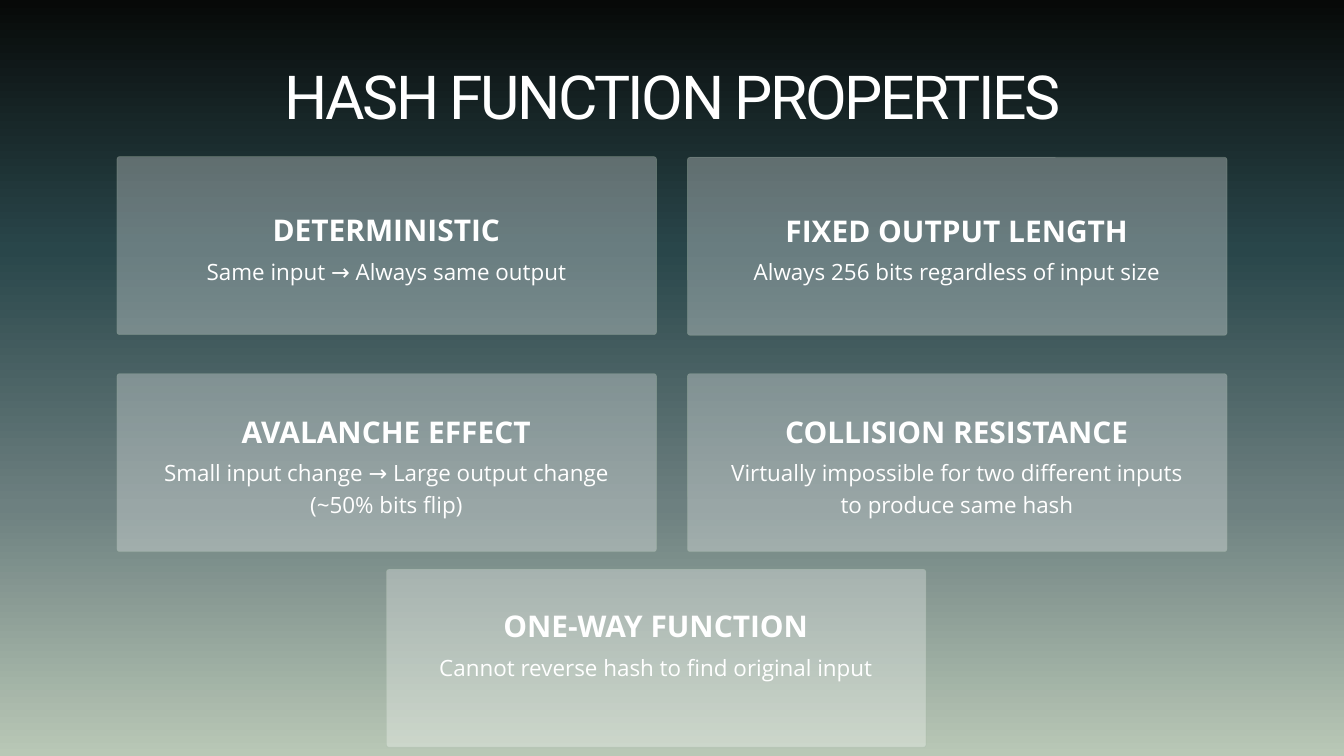
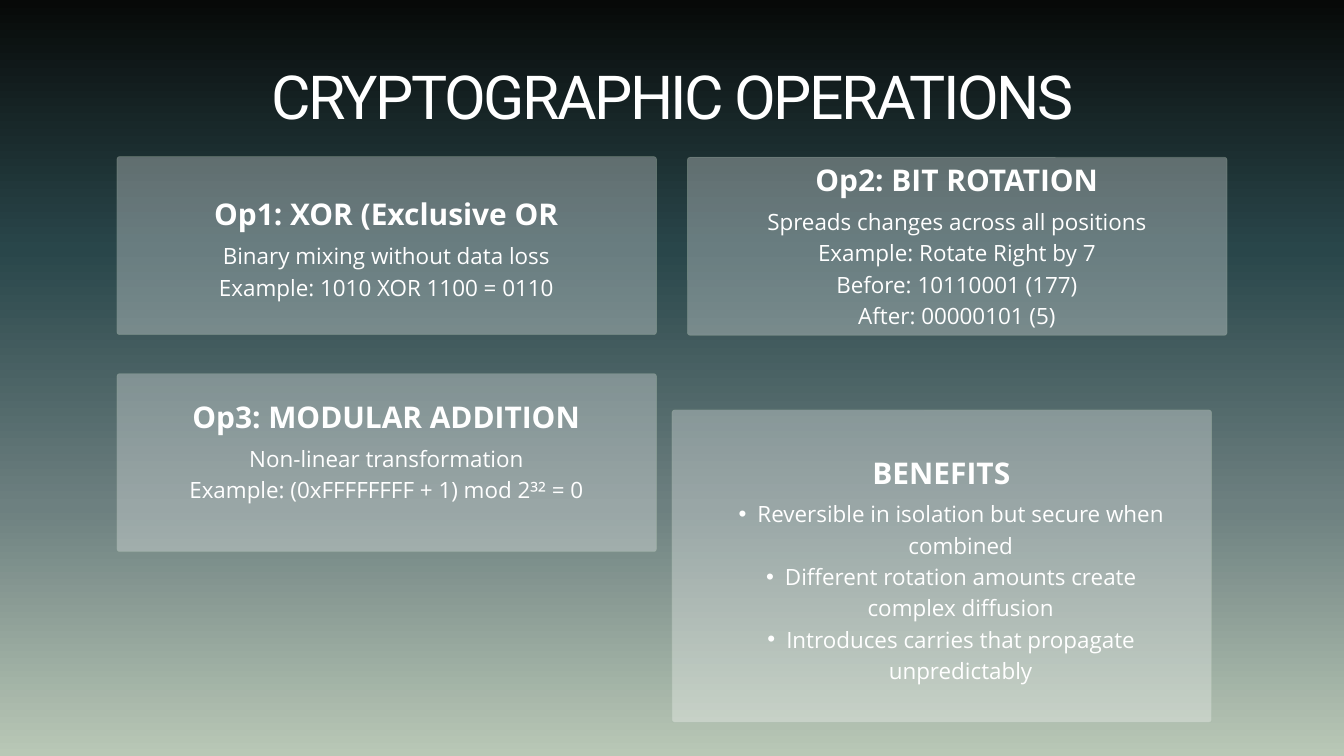
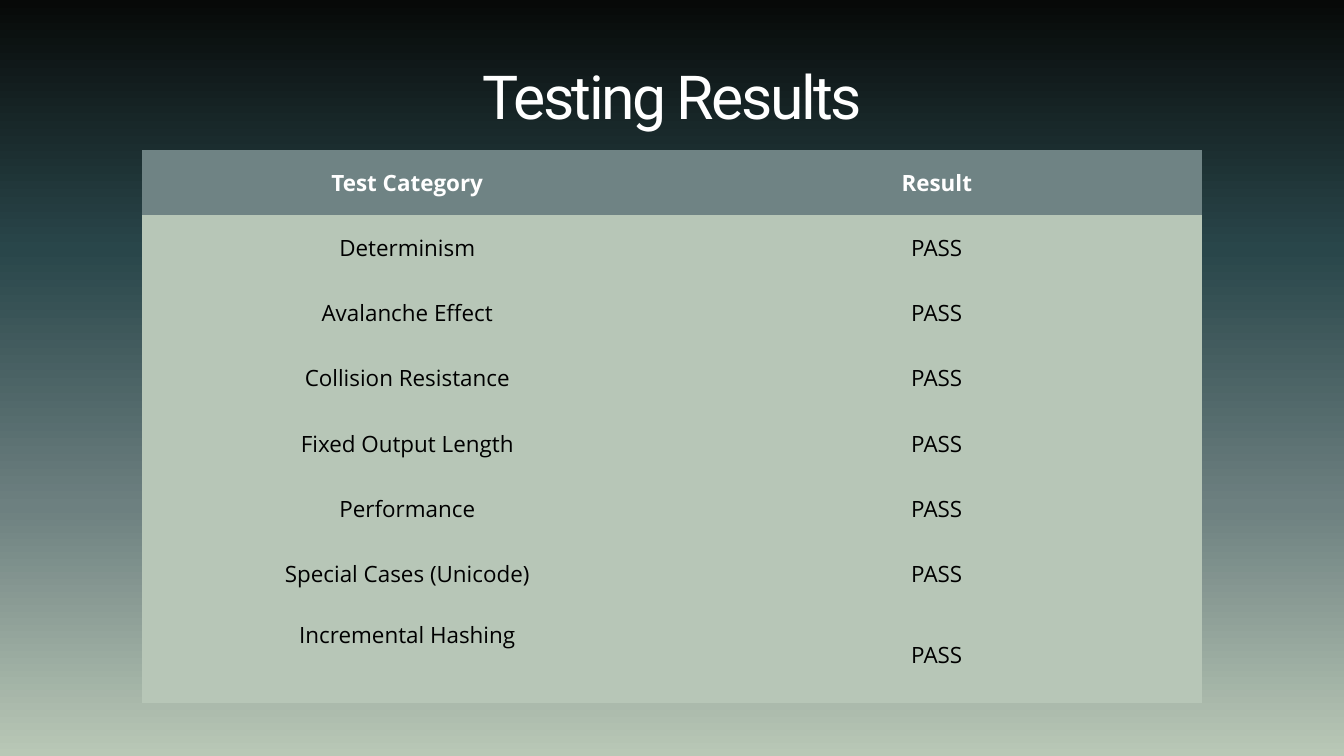
"""Builds three slides on hash functions: traits, operations and test results."""
import lxml.etree
import pptx
import pptx.dml.color
import pptx.enum.shapes
import pptx.enum.text
import pptx.oxml.ns
import pptx.util

RGB = pptx.dml.color.RGBColor
WHITE = RGB(0xFF, 0xFF, 0xFF)
BLACK = RGB(0x00, 0x00, 0x00)
EDGE = RGB(0x9E, 0xB4, 0x9F)
HEAD = RGB(0x6F, 0x83, 0x84)
ROW = RGB(0xB7, 0xC6, 0xB7)
STOPS = [
    (0, RGB(0x07, 0x09, 0x08)),
    (33, RGB(0x29, 0x46, 0x4A)),
    (67, RGB(0x6D, 0x80, 0x80)),
    (100, RGB(0xB9, 0xC8, 0xB6)),
]
PLAIN = "{2D5ABB26-0587-4C30-8999-92F81FD0307C}"
LEFT, RIGHT, CARD = 174, 1023, 265
qn = pptx.oxml.ns.qn


def px(size):
    return pptx.util.Emu(size * 9144)


def add(node, tag, **attrs):
    return lxml.etree.SubElement(node, qn(tag), **attrs)


class Deck:
    def __init__(self):
        self.show = pptx.Presentation()
        self.show.slide_width, self.show.slide_height = px(2000), px(1125)

    def start(self, title):
        self.slide = self.show.slides.add_slide(self.show.slide_layouts[6])
        fill = self.slide.background.fill
        fill.gradient()
        fill.gradient_angle = 270
        stops = self.slide.element.find(".//" + qn("a:gsLst"))
        stops.clear()
        for place, color in STOPS:
            stop = add(stops, "a:gs", pos=str(place * 1000))
            add(stop, "a:srgbClr", val=str(color))
        frame = self.text(LEFT, 88, 1653, 217, [title], 65, 78, font="Roboto")
        frame.paragraphs[0].runs[0].font._element.set("spc", "-270")

    def style(self, frame, size, pitch, color=WHITE, bold=False, font="Open Sans"):
        for para in frame.paragraphs:
            para.alignment = pptx.enum.text.PP_ALIGN.CENTER
            para.line_spacing = pptx.util.Pt(pitch)
            for run in para.runs:
                run.font.name = font
                run.font.size = pptx.util.Pt(size)
                run.font.bold = bold
                run.font.color.rgb = color

    def text(self, x, y, wide, high, lines, size, pitch, **look):
        frame = self.slide.shapes.add_textbox(px(x), px(y), px(wide), px(high)).text_frame
        frame.word_wrap = True
        frame.margin_left = frame.margin_right = 0
        frame.margin_top = frame.margin_bottom = 0
        frame.text = "\n".join(lines)
        self.style(frame, size, pitch, **look)
        return frame

    def panel(self, x, y, high):
        kind = pptx.enum.shapes.MSO_SHAPE.ROUNDED_RECTANGLE
        shape = self.slide.shapes.add_shape(kind, px(x), px(y), px(803), px(high))
        shape.adjustments[0] = 4 / high
        shape.shadow.inherit = False
        shape.fill.solid()
        shape.fill.fore_color.rgb = WHITE
        shape.line.color.rgb = EDGE
        shape.line.width = pptx.util.Pt(0.75)
        for color in shape._element.spPr.iter(qn("a:srgbClr")):
            add(color, "a:alpha", val="30000")

    def card(self, x, y, drop, head, lines, rows, high=CARD, dots=False):
        self.panel(x, y, high)
        self.text(x + 53, y + drop, 696, 59, [head], 32, 44.8, bold=True)
        frame = self.text(x + 53, y + drop + 71, 696, rows * 46 - 2, lines, 24, 33.6)
        if dots:
            self.dots(frame)

    def dots(self, frame):
        for para in frame.paragraphs:
            props = para._p.get_or_add_pPr()
            props.set("marL", str(px(57)))
            props.set("indent", str(px(-28)))
            add(props, "a:buFont", typeface="Arial")
            add(props, "a:buChar", char="•")

    def table(self, x, y, wide, highs, rows):
        shape = self.slide.shapes.add_table(
            len(rows), len(rows[0]), px(x), px(y), px(wide), px(sum(highs)))
        grid = shape.table
        grid.horz_banding = False
        grid._tbl.find(".//" + qn("a:tableStyleId")).text = PLAIN
        for i, (high, row) in enumerate(zip(highs, rows)):
            grid.rows[i].height = px(high)
            for j, word in enumerate(row):
                self.cell(grid.cell(i, j), word, i == 0)
        return grid

    def cell(self, cell, word, top):
        cell.margin_left = cell.margin_right = px(19)
        cell.margin_top = cell.margin_bottom = px(19)
        cell.vertical_anchor = pptx.enum.text.MSO_ANCHOR.MIDDLE
        cell.fill.solid()
        cell.fill.fore_color.rgb = HEAD if top else ROW
        cell.text_frame.text = word
        self.style(cell.text_frame, 24, 33.6, WHITE if top else BLACK, top)


def main():
    deck = Deck()

    deck.start("HASH FUNCTION PROPERTIES")
    deck.card(LEFT, 233, 73, "DETERMINISTIC", ["Same input → Always same output"], 1)
    deck.card(RIGHT, 234, 73, "FIXED OUTPUT LENGTH",
              ["Always 256 bits regardless of input size"], 1)
    deck.card(LEFT, 556, 50, "AVALANCHE EFFECT",
              ["Small input change → Large output change (~50% bits flip)"], 2)
    deck.card(RIGHT, 556, 50, "COLLISION RESISTANCE",
              ["Virtually impossible for two different inputs to produce same hash"], 2)
    deck.card(575, 847, 49, "ONE-WAY FUNCTION",
              ["Cannot reverse hash to find original input"], 2)

    deck.start("CRYPTOGRAPHIC OPERATIONS")
    deck.card(LEFT, 233, 50, "Op1: XOR (Exclusive OR",
              ["Binary mixing without data loss", "Example: 1010 XOR 1100 = 0110"], 2)
    deck.card(RIGHT, 234, -2, "Op2: BIT ROTATION",
              ["Spreads changes across all positions", "Example: Rotate Right by 7",
               "Before: 10110001 (177)", "After: 00000101 (5)"], 5)
    deck.card(LEFT, 556, 28, "Op3: MODULAR ADDITION",
              ["Non-linear transformation", "Example: (0xFFFFFFFF + 1) mod 2³² = 0"], 3)
    deck.card(1000, 610, 57, "BENEFITS",
              ["Reversible in isolation but secure when combined",
               "Different rotation amounts create complex diffusion",
               "Introduces carries that propagate unpredictably"], 6, high=465, dots=True)

    deck.start("Testing Results")
    tests = ["Determinism", "Avalanche Effect", "Collision Resistance",
             "Fixed Output Length", "Performance", "Special Cases (Unicode)",
             "Incremental Hashing"]
    rows = [("Test Category", "Result")] + [(test, "PASS") for test in tests]
    grid = deck.table(212, 223, 1576, [97] * len(tests) + [145], rows)
    grid.cell(len(tests), 0).vertical_anchor = pptx.enum.text.MSO_ANCHOR.TOP

    deck.show.save("out.pptx")


if __name__ == "__main__":
    main()
